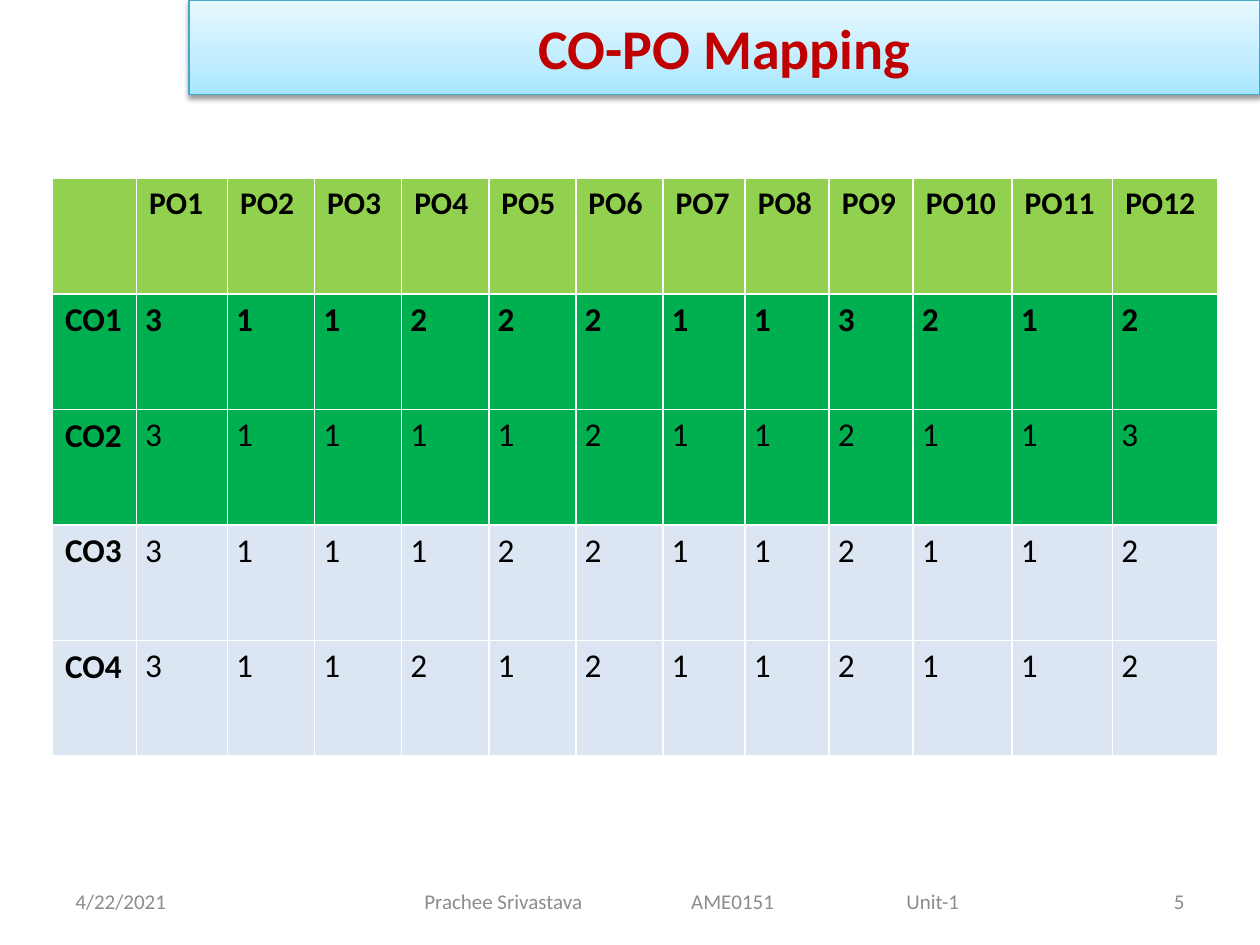
"""Build the CO-PO Mapping slide: title banner, mapping table and footer."""
from copy import deepcopy
from lxml.etree import SubElement
from pptx import Presentation
from pptx.dml.color import RGBColor
from pptx.enum.shapes import MSO_SHAPE as Shape
from pptx.enum.text import MSO_ANCHOR as Anchor, PP_ALIGN as Align
from pptx.oxml.ns import qn
from pptx.util import Pt

BLACK = RGBColor(0x00, 0x00, 0x00)
WHITE = RGBColor(0xFF, 0xFF, 0xFF)
GRAY = RGBColor(0x8C, 0x8C, 0x8C)
RED = RGBColor(0xC0, 0x00, 0x00)
LIME = RGBColor(0x92, 0xD0, 0x50)
GREEN = RGBColor(0x00, 0xB0, 0x50)
PALE_BLUE = RGBColor(0xDC, 0xE6, 0xF2)
TEAL = RGBColor(0x46, 0xAA, 0xC5)
BANNER_STOPS = [
    (0, RGBColor(0xA7, 0xE6, 0xFF)),
    (0.35, RGBColor(0xC1, 0xED, 0xFF)),
    (1, RGBColor(0xE7, 0xF8, 0xFF)),
]

HEADINGS = [""] + [f"PO{number}" for number in range(1, 13)]
OUTCOMES = [
    ("CO1", "311222113212", GREEN, True),
    ("CO2", "311112112113", GREEN, False),
    ("CO3", "311122112112", PALE_BLUE, False),
    ("CO4", "311212112112", PALE_BLUE, False),
]
COLUMN_WIDTHS = [48, 52] + [49.8] * 5 + [47, 48, 48, 56.5, 57.5, 60]
ROW_HEIGHT = 66

HEADING = {"size": Pt(18), "bold": True}
OUTCOME = {"size": Pt(19), "bold": True}
TITLE = {"size": Pt(32), "bold": True}
FOOTER = {"size": Pt(12), "bold": False}
VALUE_MARGINS = {
    "margin_left": Pt(5), "margin_right": Pt(5),
    "margin_top": 0, "margin_bottom": 0,
}


def apply(target, values):
    """Set every attribute in values on target."""
    for name, value in values.items():
        setattr(target, name, value)


class SlideBuilder:
    """Hold the typeface and current slide, and add its elements."""

    def __init__(self, slide, typeface="Calibri"):
        """Remember the slide and typeface."""
        self.slide = slide
        self.typeface = typeface

    def label(self, frame, text, style, color, align=Align.LEFT):
        """Fill in one styled paragraph and return it."""
        paragraph = frame.paragraphs[0]
        paragraph.alignment = align
        run = paragraph.add_run()
        run.text = text
        apply(run.font, {"name": self.typeface, **style})
        run.font.color.rgb = color
        return paragraph

    def banner(self, left, top, width, height, text):
        """Add the gradient title banner with its shadow."""
        banner = self.slide.shapes.add_shape(
            Shape.RECTANGLE, Pt(left), Pt(top), Pt(width), Pt(height))
        banner.fill.gradient()
        banner.fill.gradient_angle = 90
        properties = banner.element.spPr
        stops = properties.find(qn("a:gradFill")).find(qn("a:gsLst"))
        stops.append(deepcopy(stops[0]))
        for stop, (position, color) in zip(banner.fill.gradient_stops, BANNER_STOPS):
            stop.position = position
            stop.color.rgb = color
        banner.line.color.rgb = TEAL
        banner.line.width = Pt(0.75)
        banner.shadow.inherit = False
        shadow = SubElement(
            properties.find(qn("a:effectLst")), qn("a:outerShdw"),
            blurRad=str(Pt(3.1)), dist=str(Pt(1.6)), dir="5400000", rotWithShape="0")
        shade = SubElement(shadow, qn("a:srgbClr"), val=str(BLACK))
        SubElement(shade, qn("a:alpha"), val="38000")
        banner.text_frame.vertical_anchor = Anchor.MIDDLE
        self.label(banner.text_frame, text, TITLE, RED, Align.CENTER)

    def cell(self, cell, text, style, fill, is_value=False):
        """Fill, border and label one table cell."""
        properties = cell._tc.get_or_add_tcPr()
        for side in ("a:lnL", "a:lnR", "a:lnT", "a:lnB"):
            border = SubElement(properties, qn(side), w=str(Pt(1)))
            paint = SubElement(border, qn("a:solidFill"))
            SubElement(paint, qn("a:srgbClr"), val=str(WHITE))
        cell.fill.solid()
        cell.fill.fore_color.rgb = fill
        if is_value:
            apply(cell, VALUE_MARGINS)
        if text:
            paragraph = self.label(cell.text_frame, text, style, BLACK)
            if is_value:
                paragraph.line_spacing = 1.15

    def mapping(self, left, top):
        """Add the table of course and programme outcomes."""
        row_count = len(OUTCOMES) + 1
        table = self.slide.shapes.add_table(
            row_count, len(HEADINGS), Pt(left), Pt(top),
            Pt(sum(COLUMN_WIDTHS)), Pt(ROW_HEIGHT * row_count)).table
        apply(table, {"first_row": False, "horz_banding": False})
        for column, width in zip(table.columns, COLUMN_WIDTHS):
            column.width = Pt(width)
        for row in table.rows:
            row.height = Pt(ROW_HEIGHT)
        for column, heading in enumerate(HEADINGS):
            self.cell(table.cell(0, column), heading, HEADING, LIME)
        for row, (outcome, levels, fill, bold) in enumerate(OUTCOMES, 1):
            self.cell(table.cell(row, 0), outcome, OUTCOME, fill)
            for column, level in enumerate(levels, 1):
                self.cell(table.cell(row, column), level,
                          {**OUTCOME, "bold": bold}, fill, True)

    def footer(self, left, width, text, align=Align.LEFT, inset=7.2, tabs=()):
        """Add one footer text, with optional tab stops."""
        frame = self.slide.shapes.add_textbox(
            Pt(left), Pt(500.5), Pt(width), Pt(28.75)).text_frame
        apply(frame, {"word_wrap": True, "vertical_anchor": Anchor.MIDDLE,
                      "margin_left": Pt(inset)})
        paragraph = self.label(frame, text, FOOTER, GRAY, align)
        if tabs:
            stops = SubElement(paragraph._p.get_or_add_pPr(), qn("a:tabLst"))
            for position in tabs:
                SubElement(stops, qn("a:tab"), pos=str(Pt(position)), algn="l")


def main():
    """Create and save the presentation."""
    deck = Presentation()
    deck.slide_width, deck.slide_height = Pt(720), Pt(540)
    builder = SlideBuilder(deck.slides.add_slide(deck.slide_layouts[6]))
    builder.mapping(30, 102)
    builder.footer(36, 168, "4/22/2021")
    builder.footer(198, 396, "Prachee Srivastava\tAME0151\tUnit-1",
                   inset=44.5, tabs=(152.5, 275.5))
    builder.footer(516, 168, "5", Align.RIGHT)
    builder.banner(108, 0, 612, 54, "CO-PO Mapping")
    deck.save("out.pptx")


if __name__ == "__main__":
    main()
